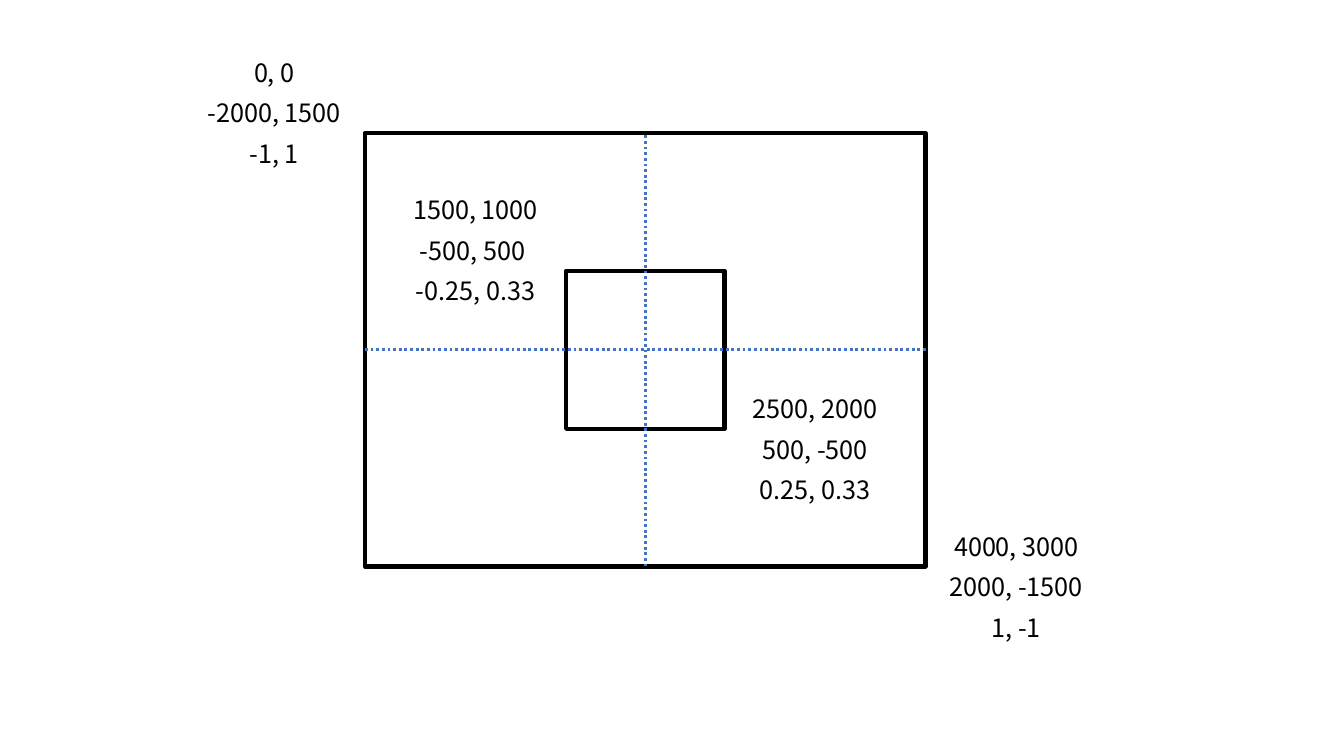
from lxml import etree
from pptx import Presentation
from pptx.dml.color import RGBColor
from pptx.enum.dml import MSO_LINE
from pptx.enum.shapes import MSO_CONNECTOR, MSO_SHAPE
from pptx.enum.text import MSO_AUTO_SIZE, PP_ALIGN
from pptx.oxml.ns import qn
from pptx.util import Inches, Pt

RECT = MSO_SHAPE.RECTANGLE
STRAIGHT = MSO_CONNECTOR.STRAIGHT
DOTTED = MSO_LINE.ROUND_DOT
CENTER = PP_ALIGN.CENTER
GROW = MSO_AUTO_SIZE.SHAPE_TO_FIT_TEXT

WIDTH, HEIGHT = Inches(13.33), Inches(7.5)
COL, ROW = WIDTH / 100, HEIGHT / 100
LABEL_W, LABEL_H, LABEL_STEP = 13.5, 5.33, 5.36
FONT, BLACK, BLUE = "Noto Sans CJK KR", "000000", "4472C4"


def color(value):
    return RGBColor.from_string(value)


def grid(x, y):
    return round(x * COL), round(y * ROW)


def add_label(s, x, y, text):
    sp = s.shapes.add_textbox(*grid(x, y), *grid(LABEL_W, LABEL_H))
    tf = sp.text_frame
    tf.word_wrap = True
    tf.auto_size = GROW
    p = tf.paragraphs[0]
    p.text = text
    p.alignment = CENTER
    p.font.name = FONT
    p.font.size = Pt(18)
    p.font.color.rgb = color(BLACK)


def add_frame(s, box, top_left, bottom_right):
    x, y, w, h = box
    sp = s.shapes.add_shape(RECT, *grid(x, y), *grid(w, h))
    sp.shadow.inherit = False
    sp.fill.background()
    sp.line.color.rgb = color(BLACK)
    sp.line.width = Pt(3)
    for i, text in enumerate(top_left):
        add_label(s, x - LABEL_W, y + (i - 2) * LABEL_STEP, text)
    for i, text in enumerate(bottom_right):
        add_label(s, x + w, y + h + (i - 1) * LABEL_STEP, text)


def add_axes(s, box):
    x, y, w, h = box
    mid_x, mid_y = x + w / 2, y + h / 2
    for start, end in (((x, mid_y), (x + w, mid_y)),
                       ((mid_x, y + h), (mid_x, y))):
        axis = s.shapes.add_connector(STRAIGHT, *grid(*start), *grid(*end))
        axis.line.color.rgb = color(BLUE)
        axis.line.width = Pt(2)
        axis.line.dash_style = DOTTED
        etree.SubElement(axis._element.spPr, qn("a:effectLst"))


def centered(box, w, h):
    x, y, outer_w, outer_h = box
    return x + (outer_w - w) / 2, y + (outer_h - h) / 2, w, h


prs = Presentation()
prs.slide_width, prs.slide_height = WIDTH, HEIGHT
s = prs.slides.add_slide(prs.slide_layouts[6])

sensor = (27.16, 17.6, 41.71, 57.33)
crop = centered(sensor, 11.78, 20.93)
add_frame(s, crop, ("1500, 1000", "-500, 500 ", "-0.25, 0.33"),
          ("2500, 2000", "500, -500", "0.25, 0.33"))
add_frame(s, sensor, ("0, 0", "-2000, 1500", "-1, 1"),
          ("4000, 3000", "2000, -1500", "1, -1"))
add_axes(s, sensor)

prs.save("out.pptx")
